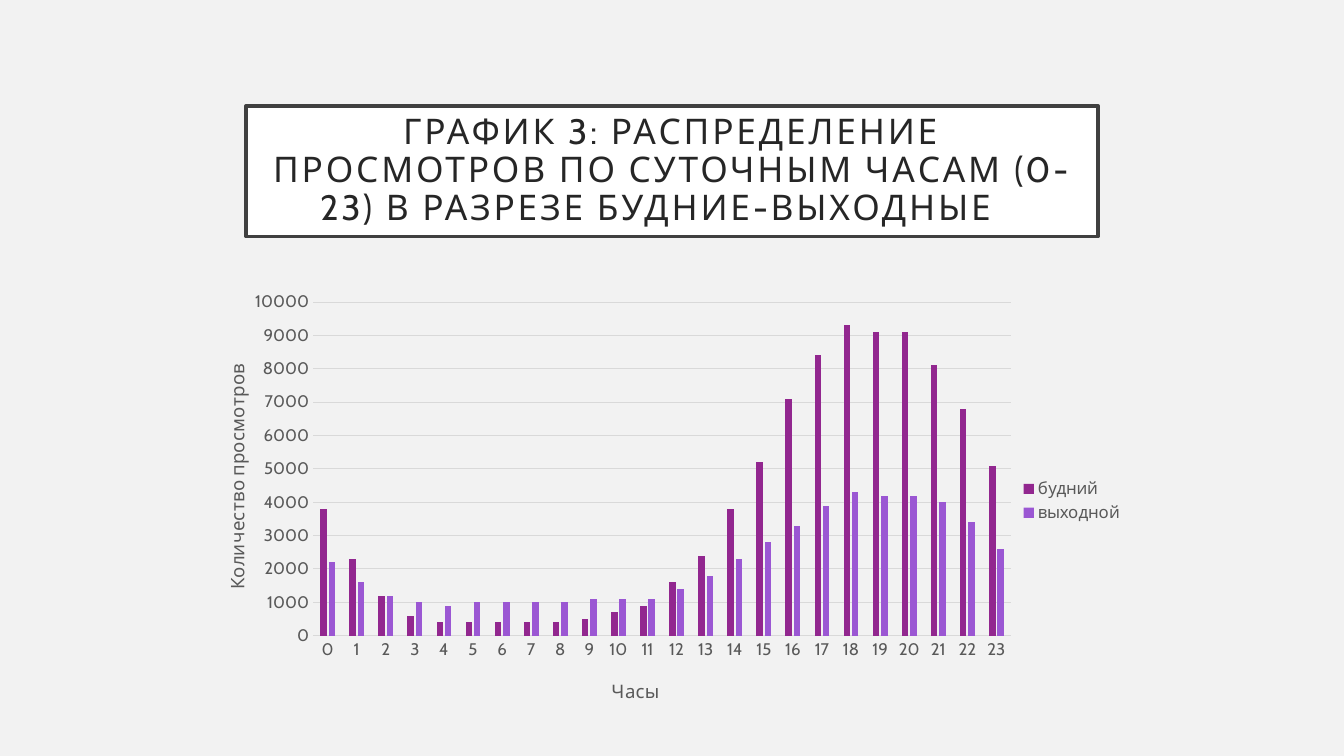
import pptx
import pptx.util
import pptx.chart.data
import pptx.dml.color
import pptx.enum.chart
import pptx.enum.shapes
import pptx.enum.text
import pptx.oxml
import pptx.oxml.ns
from dataclasses import dataclass

Inches, Pt = pptx.util.Inches, pptx.util.Pt
WIDTH, HEIGHT = 13.33, 7.5


@dataclass(frozen=True)
class Theme:
    font: str = "Cabin"
    back: str = "F2F2F2"
    panel: str = "FFFFFF"
    frame: str = "404040"
    head: str = "262626"
    label: str = "595959"
    grid: str = "D9D9D9"
    bars: tuple = ("92278F", "9B57D3")
    head_size: float = 25.2
    axis_size: float = 13.3
    label_size: float = 12


THEME = Theme()
TITLE = "ГРАФИК 3: РАСПРЕДЕЛЕНИЕ ПРОСМОТРОВ ПО СУТОЧНЫМ ЧАСАМ (0-23) В РАЗРЕЗЕ БУДНИЕ-ВЫХОДНЫЕ   "
VIEWS = {
    "будний": (3800, 2300, 1200, 600, 400, 400, 400, 400, 400, 500, 700, 900,
               1600, 2400, 3800, 5200, 7100, 8400, 9300, 9100, 9100, 8100, 6800, 5100),
    "выходной": (2200, 1600, 1200, 1000, 900, 1000, 1000, 1000, 1000, 1100, 1100, 1100,
                 1400, 1800, 2300, 2800, 3300, 3900, 4300, 4200, 4200, 4000, 3400, 2600),
}


def paint(fill, color):
    fill.solid()
    fill.fore_color.rgb = pptx.dml.color.RGBColor.from_string(color)


def style(font, size, color):
    font.name = THEME.font
    font.size = Pt(size)
    font.bold = False
    paint(font.fill, color)


def scale(box):
    """Turn shares of the slide into lengths."""
    left, top, wide, high = box
    return (Inches(left * WIDTH), Inches(top * HEIGHT),
            Inches(wide * WIDTH), Inches(high * HEIGHT))


def place(node, x, y, size=None):
    """Set a fixed layout, in shares of the chart, on a title or plot area."""
    for old in node.findall(pptx.oxml.ns.qn("c:layout")):
        node.remove(old)
    parts = {"xMode": "edge", "yMode": "edge", "x": x, "y": y}
    if size:
        parts = {"layoutTarget": "inner", **parts, "w": size[0], "h": size[1]}
    body = "".join(f'<c:{name} val="{value}"/>' for name, value in parts.items())
    layout = pptx.oxml.parse_xml(
        f'<c:layout {pptx.oxml.ns.nsdecls("c")}><c:manualLayout>{body}'
        '</c:manualLayout></c:layout>')
    text = node.find(pptx.oxml.ns.qn("c:tx"))
    if text is None:
        node.insert(0, layout)
    else:
        text.addnext(layout)


def add_title(slide, box):
    shape = slide.shapes.add_shape(
        pptx.enum.shapes.MSO_SHAPE.RECTANGLE, *scale(box))
    shape.shadow.inherit = False
    paint(shape.fill, THEME.panel)
    paint(shape.line.fill, THEME.frame)
    shape.line.width = Pt(2.5)
    frame = shape.text_frame
    frame.word_wrap = True
    frame.vertical_anchor = pptx.enum.text.MSO_ANCHOR.MIDDLE
    frame.margin_left = frame.margin_right = Inches(0.2)
    frame.margin_top = frame.margin_bottom = Inches(0.2)
    frame.text = TITLE
    line = frame.paragraphs[0]
    line.alignment = pptx.enum.text.PP_ALIGN.CENTER
    line.line_spacing = 0.9
    run = line.runs[0]
    style(run.font, THEME.head_size, THEME.head)
    run.font._element.set("spc", "200")


def set_axis(axis, text, x, y):
    axis.major_tick_mark = axis.minor_tick_mark = pptx.enum.chart.XL_TICK_MARK.NONE
    style(axis.tick_labels.font, THEME.label_size, THEME.label)
    title = axis.axis_title
    title.text_frame.text = text
    style(title.text_frame.paragraphs[0].runs[0].font, THEME.axis_size, THEME.label)
    place(title._element, x, y)


def add_chart(slide, box):
    data = pptx.chart.data.CategoryChartData()
    data.categories = [str(hour) for hour in range(24)]
    for name, values in VIEWS.items():
        data.add_series(name, values)
    chart = slide.shapes.add_chart(
        pptx.enum.chart.XL_CHART_TYPE.COLUMN_CLUSTERED, *scale(box), data).chart
    style(chart.font, THEME.label_size, THEME.label)
    chart.has_title = False

    plot = chart.plots[0]
    plot.gap_width, plot.overlap = 219, -27
    plot.vary_by_categories = False
    for series, color in zip(plot.series, THEME.bars):
        paint(series.format.fill, color)
    place(chart._chartSpace.chart.plotArea, 0.11, 0.033, (0.757, 0.784))

    hours, views = chart.category_axis, chart.value_axis
    set_axis(hours, "Часы", 0.43, 0.91)
    set_axis(views, "Количество просмотров", 0.01, 0.17)
    views.minimum_scale, views.maximum_scale, views.major_unit = 0, 10000, 1000
    views.format.line.fill.background()
    views.has_major_gridlines = True
    for line in (hours.format.line, views.major_gridlines.format.line):
        paint(line.fill, THEME.grid)
        line.width = Pt(0.75)

    chart.has_legend = True
    chart.legend.position = pptx.enum.chart.XL_LEGEND_POSITION.RIGHT
    chart.legend.include_in_layout = False
    style(chart.legend.font, THEME.label_size, THEME.label)


def main():
    deck = pptx.Presentation()
    deck.slide_width, deck.slide_height = Inches(WIDTH), Inches(HEIGHT)
    slide = deck.slides.add_slide(deck.slide_layouts[6])
    paint(slide.background.fill, THEME.back)
    add_title(slide, (0.183, 0.14, 0.634, 0.173))
    add_chart(slide, (0.1575, 0.381, 0.686, 0.563))
    deck.save("out.pptx")


if __name__ == "__main__":
    main()
